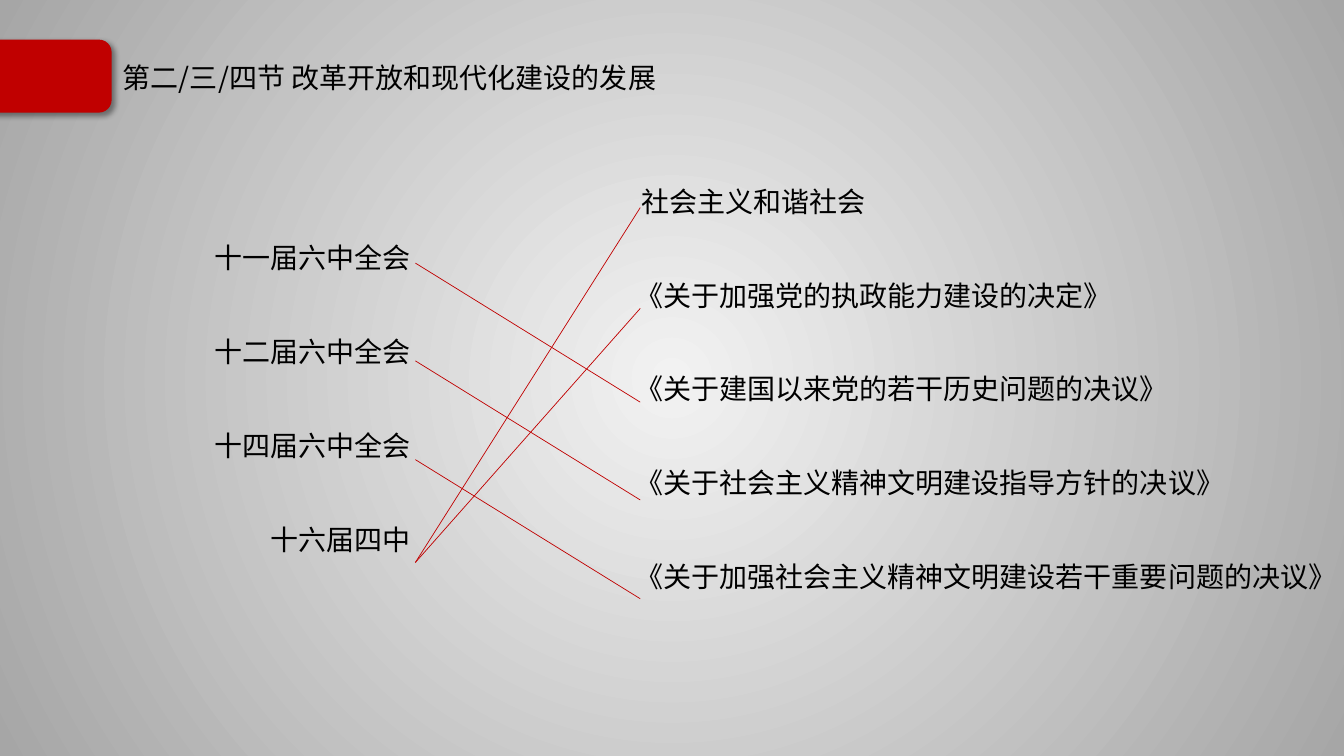
import pptx
import pptx.util
import pptx.dml.color
import pptx.enum.shapes
import pptx.enum.text
import pptx.oxml
import pptx.oxml.ns
from lxml import etree

Inches, Pt = pptx.util.Inches, pptx.util.Pt
qn = pptx.oxml.ns.qn
ALIGN = pptx.enum.text.PP_ALIGN
ANCHOR = pptx.enum.text.MSO_ANCHOR

COLORS = {"red": "C00000", "text": "000000", "center": "F2F2F2", "edge": "A6A6A6"}
TITLE_FONT, BODY_FONT = "Noto Sans CJK JP", "Noto Sans CJK SC"

TITLE = "第二/三/四节 改革开放和现代化建设的发展"
SESSIONS = ["十一届六中全会", "十二届六中全会", "十四届六中全会", "十六届四中"]
DECISIONS = [
    "社会主义和谐社会",
    "《关于加强党的执政能力建设的决定》",
    "《关于建国以来党的若干历史问题的决议》",
    "《关于社会主义精神文明建设指导方针的决议》",
    "《关于加强社会主义精神文明建设若干重要问题的决议》",
]
MATCHES = [(0, 2), (1, 3), (2, 4), (3, 0), (3, 1)]  # session, decision

SESSION_X, DECISION_X = 4.12, 6.35
SESSION_Y = [2.61, 3.58, 4.56, 5.58]
DECISION_Y = [2.06, 3.06, 3.99, 4.96, 5.94]
ITEM_GAP = Pt(43)


def rgb(name):
    return pptx.dml.color.RGBColor.from_string(COLORS[name])


def add_background(slide):
    """Radial gradient, light in the middle."""
    fill = slide.background.fill
    fill.gradient()
    for stop, name, pos in zip(fill.gradient_stops, ("center", "edge"), (0, 1)):
        stop.color.rgb = rgb(name)
        stop.position = pos
    grad = slide.element.find(".//" + qn("a:gradFill"))
    for lin in grad.findall(qn("a:lin")):
        grad.remove(lin)
    circle = etree.Element(qn("a:path"), path="circle")
    etree.SubElement(circle, qn("a:fillToRect"), l="50000", t="50000", r="50000", b="50000")
    grad.find(qn("a:gsLst")).addnext(circle)


def add_text(slide, box, lines, font, align=ALIGN.LEFT, anchor=ANCHOR.TOP):
    sp = slide.shapes.add_textbox(*map(Inches, box))
    tf = sp.text_frame
    tf.word_wrap = True
    tf.vertical_anchor = anchor
    for i, line in enumerate(lines):
        p = tf.paragraphs[0] if i == 0 else tf.add_paragraph()
        p.alignment = align
        if i:
            p.space_before = ITEM_GAP
        r = p.add_run()
        r.text = line
        r.font.size = Pt(20)
        r.font.name = font
        r.font.color.rgb = rgb("text")
        etree.SubElement(r.font._element, qn("a:ea"), typeface=font)
    return tf


def add_tab(slide):
    sp = slide.shapes.add_shape(
        pptx.enum.shapes.MSO_SHAPE.ROUNDED_RECTANGLE,
        Inches(-0.18), Inches(0.4), Inches(1.28), Inches(0.71))
    sp.fill.solid()
    sp.fill.fore_color.rgb = rgb("red")
    sp.line.color.rgb = rgb("red")
    sp.line.width = Pt(1)
    sp.shadow.inherit = False
    shadow = etree.SubElement(
        sp.element.spPr.find(qn("a:effectLst")), qn("a:outerShdw"),
        blurRad=str(Pt(4)), dist=str(Pt(3)), dir="2700000", algn="tl", rotWithShape="0")
    color = etree.SubElement(shadow, qn("a:srgbClr"), val=COLORS["text"])
    etree.SubElement(color, qn("a:alpha"), val="40000")


def add_match(slide, session, decision):
    line = slide.shapes.add_connector(
        pptx.enum.shapes.MSO_CONNECTOR.STRAIGHT,
        Inches(SESSION_X), Inches(SESSION_Y[session]),
        Inches(DECISION_X), Inches(DECISION_Y[decision]))
    line.line.color.rgb = rgb("red")
    line.line.width = Pt(0.5)
    etree.SubElement(line.element.spPr, qn("a:effectLst"))


def main():
    prs = pptx.Presentation()
    prs.slide_width, prs.slide_height = Inches(13.33), Inches(7.5)
    slide = prs.slides.add_slide(prs.slide_layouts[6])
    add_background(slide)
    title = add_text(slide, (1.12, 0.49, 11.15, 0.59), [TITLE], TITLE_FONT, anchor=ANCHOR.MIDDLE)
    title.paragraphs[0].line_spacing = 0.9
    add_text(slide, (1.42, 2.34, 2.75, 3.8), SESSIONS, BODY_FONT, ALIGN.RIGHT)
    decisions = add_text(slide, (6.2, 1.78, 8.21, 6.16), DECISIONS, BODY_FONT)
    decisions.paragraphs[0]._p.get_or_add_pPr().set("marL", str(Inches(0.06)))
    add_tab(slide)
    for session, decision in MATCHES:
        add_match(slide, session, decision)
    prs.save("out.pptx")


if __name__ == "__main__":
    main()
